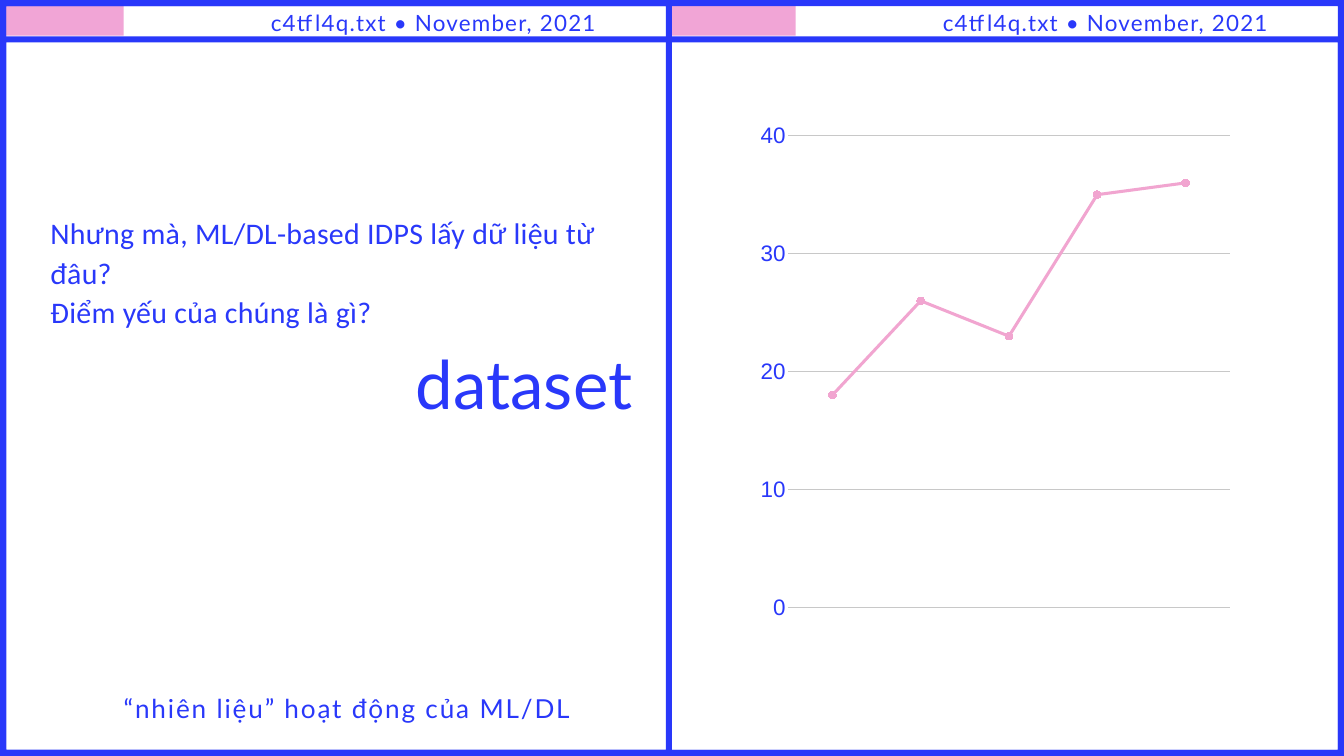
from lxml import etree
from pptx import Presentation
from pptx.chart.data import CategoryChartData
from pptx.dml.color import RGBColor
from pptx.enum.chart import XL_CHART_TYPE, XL_MARKER_STYLE, XL_TICK_LABEL_POSITION, XL_TICK_MARK
from pptx.enum.shapes import MSO_SHAPE
from pptx.enum.text import MSO_ANCHOR, MSO_AUTO_SIZE, PP_ALIGN
from pptx.oxml import parse_xml
from pptx.oxml.ns import nsdecls
from pptx.util import Inches, Pt

BLUE, PINK, LINE_PINK, GRID = "2938FA", "F1A5D6", "F1A5D0", "C8C8C8"
WIDTH, HEIGHT, BORDER = 20, 11.25, 0.09
PANEL = WIDTH / 2

HEADER = "c4tfl4q.txt • November, 2021"
QUESTIONS = ["Nhưng mà, ML/DL-based IDPS lấy dữ liệu từ đâu?", "Điểm yếu của chúng là gì?"]
TITLE = "dataset"
CAPTION = "“nhiên liệu” hoạt động của ML/DL"
VALUES = [18, 26, 23, 35, 36]

FRAMES = [(0, 0.54, WIDTH, HEIGHT - 0.54), (0, 0, WIDTH, HEIGHT), (0, 0, PANEL, HEIGHT)]
CHART = (10.9, 1.5, 7.8, 8)
PLOT = (11.73, 2.02, 6.57, 7.02)


def color(hex_code):
    return RGBColor.from_string(hex_code)


def add_block(shape_type, box, fill):
    block = slide.shapes.add_shape(shape_type, *map(Inches, box))
    block.shadow.inherit = False
    block.fill.solid()
    block.fill.fore_color.rgb = color(fill)
    block.line.fill.background()
    return block


def write(holder, box, lines, size, leading, font="Lato", align=PP_ALIGN.LEFT, tracking=0):
    """Place a text holder and fill it; leading and tracking are in points."""
    holder.left, holder.top, holder.width, holder.height = map(Inches, box)
    frame = holder.text_frame
    frame.word_wrap = True
    frame.auto_size = MSO_AUTO_SIZE.NONE
    frame.vertical_anchor = MSO_ANCHOR.TOP
    frame.margin_left = frame.margin_right = frame.margin_top = frame.margin_bottom = 0
    frame.text = "\n".join(lines)
    for paragraph in frame.paragraphs:
        paragraph.alignment = align
        paragraph.line_spacing = Pt(leading)
        paragraph.space_before = Pt(0)
        for run in paragraph.runs:
            run.font.name = font
            run.font.size = Pt(size)
            run.font.color.rgb = color(BLUE)
            run.font._element.set("spc", str(round(tracking * 100)))


def add_text(box, lines, size, leading, **style):
    write(slide.shapes.add_textbox(0, 0, 0, 0), box, lines, size, leading, **style)


def fix_plot_area(chart):
    """Pin the inner plot area to PLOT within CHART."""
    layout = parse_xml(f"<c:layout {nsdecls('c')}><c:manualLayout/></c:layout>")
    settings = {
        "layoutTarget": "inner", "xMode": "edge", "yMode": "edge",
        "x": (PLOT[0] - CHART[0]) / CHART[2], "y": (PLOT[1] - CHART[1]) / CHART[3],
        "w": PLOT[2] / CHART[2], "h": PLOT[3] / CHART[3],
    }
    namespace = etree.QName(layout).namespace
    for name, value in settings.items():
        etree.SubElement(layout[0], f"{{{namespace}}}{name}").set("val", str(value))
    plot_area = chart._chartSpace.chart.plotArea
    for old in plot_area.findall(f"{{{namespace}}}layout"):
        plot_area.remove(old)
    plot_area.insert(0, layout)


def add_line_chart():
    data = CategoryChartData()
    data.categories = [str(n) for n in range(1, len(VALUES) + 1)]
    data.add_series("dataset", VALUES)
    chart = slide.shapes.add_chart(XL_CHART_TYPE.LINE_MARKERS, *map(Inches, CHART), data).chart
    chart.has_legend = chart.has_title = False
    chart.font.name = "Arial"
    chart.font.size = Pt(24)
    chart.font.color.rgb = color(BLUE)

    scale = chart.value_axis
    scale.minimum_scale, scale.maximum_scale, scale.major_unit = 0, 40, 10
    scale.format.line.fill.background()
    scale.major_gridlines.format.line.color.rgb = color(GRID)
    scale.major_gridlines.format.line.width = Pt(0.75)
    categories = chart.category_axis
    categories.tick_label_position = XL_TICK_LABEL_POSITION.NONE
    categories.format.line.color.rgb = color(GRID)
    categories.format.line.width = Pt(0.75)
    for axis in (scale, categories):
        axis.major_tick_mark = axis.minor_tick_mark = XL_TICK_MARK.NONE

    chart.plots[0].vary_by_categories = False
    series = chart.plots[0].series[0]
    series.smooth = False
    series.format.line.color.rgb = color(LINE_PINK)
    series.format.line.width = Pt(3.25)
    series.marker.style = XL_MARKER_STYLE.CIRCLE
    series.marker.size = 8
    series.marker.format.fill.solid()
    series.marker.format.fill.fore_color.rgb = color(LINE_PINK)
    series.marker.format.line.fill.background()
    fix_plot_area(chart)


presentation = Presentation()
presentation.slide_width, presentation.slide_height = Inches(WIDTH), Inches(HEIGHT)
slide = presentation.slides.add_slide(presentation.slide_layouts[5])

for panel_left in (0, PANEL):
    add_block(MSO_SHAPE.RECTANGLE, (panel_left, 0.08, 1.84, 0.45), PINK)
    add_text((panel_left + 2.57, 0.12, 6.3, 0.39), [HEADER], 24, 29.4,
             align=PP_ALIGN.RIGHT, tracking=1.3)
for box in FRAMES:
    border = add_block(MSO_SHAPE.FRAME, box, BLUE)
    border.adjustments[0] = BORDER / min(box[2:])

write(slide.shapes.title, (0.96, 5.19, 8.45, 1.11), [TITLE], 72, 79.2, align=PP_ALIGN.RIGHT)
add_text((0.75, 3.15, 8.45, 1.73), QUESTIONS, 32, 42, font="Calibri", tracking=0.3)
add_text((1.84, 10.15, 8.28, 0.57), [CAPTION], 28, 44.2, tracking=2)
add_line_chart()

presentation.save("out.pptx")
